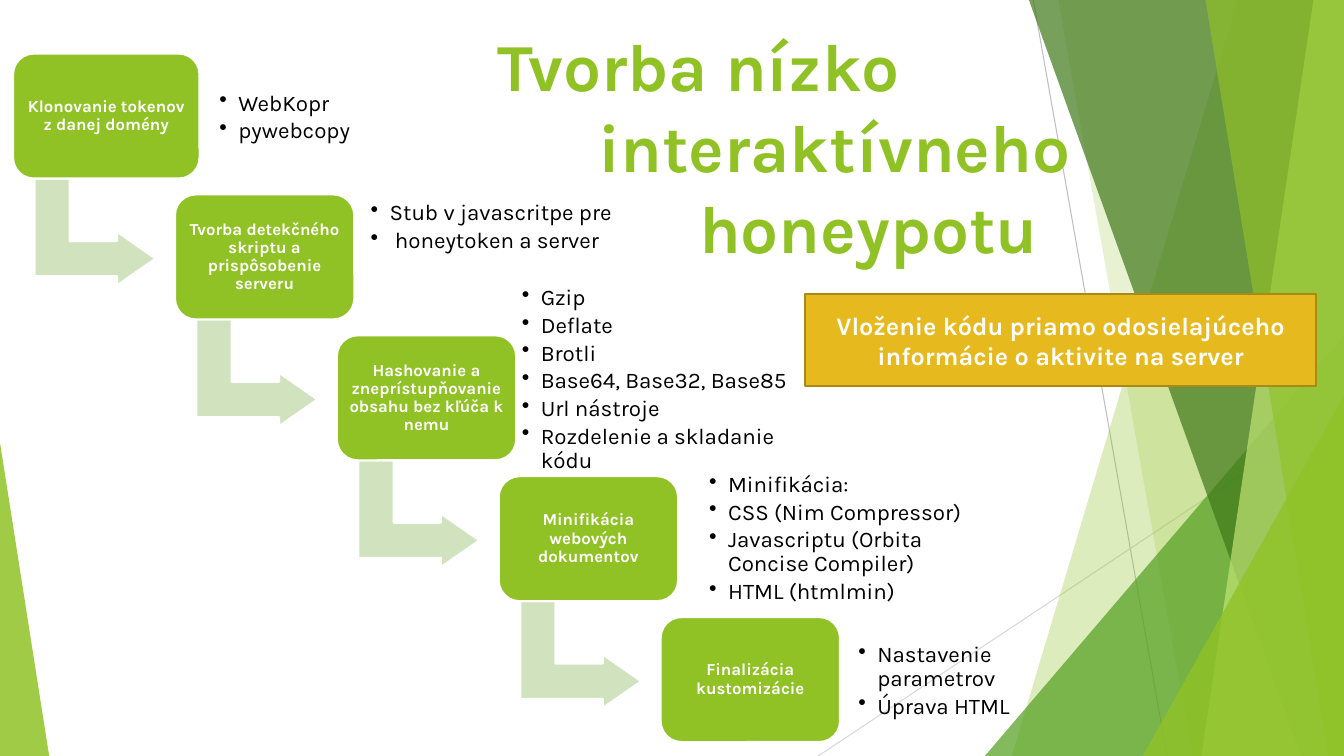
import pptx
import pptx.dml.color
import pptx.enum.shapes
import pptx.enum.text
import pptx.oxml.ns
import pptx.util
from lxml import etree

Cm, Pt = pptx.util.Cm, pptx.util.Pt
Shape = pptx.enum.shapes.MSO_SHAPE
Align = pptx.enum.text.PP_ALIGN
Anchor = pptx.enum.text.MSO_ANCHOR
qn = pptx.oxml.ns.qn

FONT = "Karla"
GREEN, PALE_GREEN, WHITE, BLACK = "90C226", "D1E3BE", "FFFFFF", "000000"
SLIDE_W, SLIDE_H = 33.87, 19.05

# Title lines, each one step further in
TITLE = ["Tvorba nízko", "interaktívneho", "honeypotu"]
TITLE_STEP = 2.54

NOTE = "Vloženie kódu priamo odosielajúceho informácie o aktivite na server"

# Step, its details, and left, top, width of the details (cm)
STEPS = [
    ("Klonovanie tokenov z danej domény",
     ["WebKopr", "pywebcopy"], (5.36, 1.68, 4.55)),
    ("Tvorba detekčného skriptu a prispôsobenie serveru",
     ["Stub v javascritpe pre", " honeytoken a server"], (9.17, 4.45, 8.74)),
    ("Hashovanie a zneprístupňovanie obsahu bez kľúča k nemu",
     ["Gzip", "Deflate", "Brotli", "Base64, Base32, Base85", "Url nástroje",
      "Rozdelenie a skladanie kódu"], (12.98, 8.29, 7.04)),
    ("Minifikácia webových dokumentov",
     ["Minifikácia:", "CSS (Nim Compressor)",
      "Javascriptu (Orbita Concise Compiler)", "HTML (htmlmin)"],
     (17.7, 12.29, 7.39)),
    ("Finalizácia kustomizácie",
     ["Nastavenie parametrov", "Úprava HTML"], (21.46, 15.88, 4.34)),
]
STEP_X, STEP_Y = 4.08, 3.55
FIRST_LEFT, FIRST_TOP = 0.33, 1.35
FIRST_W, BOX_W, BOX_H = 4.7, 4.52, 3.15
ARROW_W, ARROW_H = 2.69, 3.05
DETAILS_H = 2.57

# Thin lines: from, to, colour
RAYS = [((26.04, 0), (29.41, SLIDE_H), "BFBFBF"),
        ((SLIDE_W, 10.24), (20.62, SLIDE_H), "D9D9D9")]

# Facets from back to front. Bands reach the right edge: top x, bottom x.
# Triangles stand on the bottom edge: left, top, width, apex.
FACETS = [
    ("band", (31.19, 25.5), GREEN, 30),
    ("band", (26.67, 30.05), GREEN, 20),
    ("triangle", (24.82, 8.46, 9.05, 1), "54A021", 72),
    ("band", (25.93, 32.79), "3F7819", 70),
    ("band", (33.1, 30.28), "C0E474", 70),
    ("band", (30.38, 33.48), GREEN, 65),
    ("triangle", (28.8, 9.98, 5.07, 1), GREEN, 80),
    ("triangle", (0, 11.15, 1.24, 0), GREEN, 85),
]


def rgb(code):
    return pptx.dml.color.RGBColor.from_string(code)


def paint(shape, fill, line=None, opacity=100):
    shape.shadow.inherit = False
    shape.fill.solid()
    shape.fill.fore_color.rgb = rgb(fill)
    if opacity < 100:
        colour = shape.fill._xPr.find(".//" + qn("a:srgbClr"))
        etree.SubElement(colour, qn("a:alpha"), val=str(opacity * 1000))
    if line:
        shape.line.color.rgb = rgb(line)
        shape.line.width = Pt(1.5)
    else:
        shape.line.fill.background()


def add_preset(slide, kind, left, top, width, height):
    return slide.shapes.add_shape(kind, Cm(left), Cm(top), Cm(width), Cm(height))


def add_textbox(slide, left, top, width, height):
    return slide.shapes.add_textbox(Cm(left), Cm(top), Cm(width), Cm(height))


def write(shape, lines, size, colour, bold=False, align=Align.LEFT,
          anchor=Anchor.MIDDLE, inset=None, spacing=None, after=0):
    """Fill a shape with one paragraph per line and return the paragraphs."""
    frame = shape.text_frame
    frame.word_wrap = True
    frame.vertical_anchor = anchor
    if inset is not None:
        frame.margin_left = frame.margin_right = Cm(inset)
        frame.margin_top = frame.margin_bottom = Cm(inset)
    for number, line in enumerate(lines):
        paragraph = frame.add_paragraph() if number else frame.paragraphs[0]
        paragraph.alignment = align
        paragraph.line_spacing = spacing
        paragraph.space_after = Pt(after)
        run = paragraph.add_run()
        run.text = line
        run.font.name = FONT
        run.font.size = Pt(size)
        run.font.bold = bold
        run.font.color.rgb = rgb(colour)
    return frame.paragraphs


def indent(paragraph, left, hanging=0):
    properties = paragraph._p.get_or_add_pPr()
    properties.set("marL", str(Cm(left)))
    properties.set("indent", str(-Cm(hanging)))
    return properties


def add_ray(slide, start, end, colour):
    ray = slide.shapes.add_connector(
        pptx.enum.shapes.MSO_CONNECTOR.STRAIGHT, *map(Cm, start + end))
    ray.line.color.rgb = rgb(colour)
    ray.line.width = Pt(0.75)
    etree.SubElement(ray._element.spPr, qn("a:effectLst"))


def add_facet(slide, kind, place, colour, opacity):
    if kind == "band":
        top_x, bottom_x = place
        builder = slide.shapes.build_freeform(Cm(top_x), 0)
        corners = [(SLIDE_W, 0), (SLIDE_W, SLIDE_H), (bottom_x, SLIDE_H)]
        builder.add_line_segments([(Cm(x), Cm(y)) for x, y in corners])
        facet = builder.convert_to_shape()
    else:
        left, top, width, apex = place
        facet = add_preset(slide, Shape.ISOSCELES_TRIANGLE,
                           left, top, width, SLIDE_H - top)
        facet.adjustments[0] = apex
    paint(facet, colour, opacity=opacity)


def add_step(slide, number, label, details, place):
    left = FIRST_LEFT + number * STEP_X
    top = FIRST_TOP + number * STEP_Y
    if number < len(STEPS) - 1:
        arrow = add_preset(slide, Shape.BENT_UP_ARROW,
                           left + 0.72, top + 2.97, ARROW_W, ARROW_H)
        arrow.rotation = 90
        for index, value in enumerate((0.33, 0.25, 0.36)):
            arrow.adjustments[index] = value
        paint(arrow, PALE_GREEN, WHITE)

    box = add_preset(slide, Shape.ROUNDED_RECTANGLE, left, top,
                     BOX_W if number else FIRST_W, BOX_H)
    paint(box, GREEN, WHITE)
    write(box, [label], 12, WHITE, bold=True, align=Align.CENTER,
          inset=0.13, spacing=0.9)

    details_box = add_textbox(slide, *place, DETAILS_H)
    for item in write(details_box, details, 16, BLACK,
                      inset=0.17, spacing=0.9, after=2.5):
        etree.SubElement(indent(item, 0.48, 0.48), qn("a:buChar"), char="•")


def main():
    deck = pptx.Presentation()
    deck.slide_width, deck.slide_height = Cm(SLIDE_W), Cm(SLIDE_H)
    slide = deck.slides.add_slide(deck.slide_layouts[6])

    for ray in RAYS:
        add_ray(slide, *ray)
    for facet in FACETS:
        add_facet(slide, *facet)

    title = add_textbox(slide, 12.29, 0.5, 16, 6.5)
    for number, line in enumerate(write(title, TITLE, 48, GREEN, bold=True,
                                        anchor=Anchor.TOP)):
        indent(line, number * TITLE_STEP)

    for number, step in enumerate(STEPS):
        add_step(slide, number, *step)

    note = add_preset(slide, Shape.RECTANGLE, 20.29, 7.42, 12.88, 2.31)
    paint(note, "E6B91E", "AA8916")
    write(note, [NOTE], 18, WHITE, bold=True, align=Align.CENTER)

    deck.save("out.pptx")


if __name__ == "__main__":
    main()
